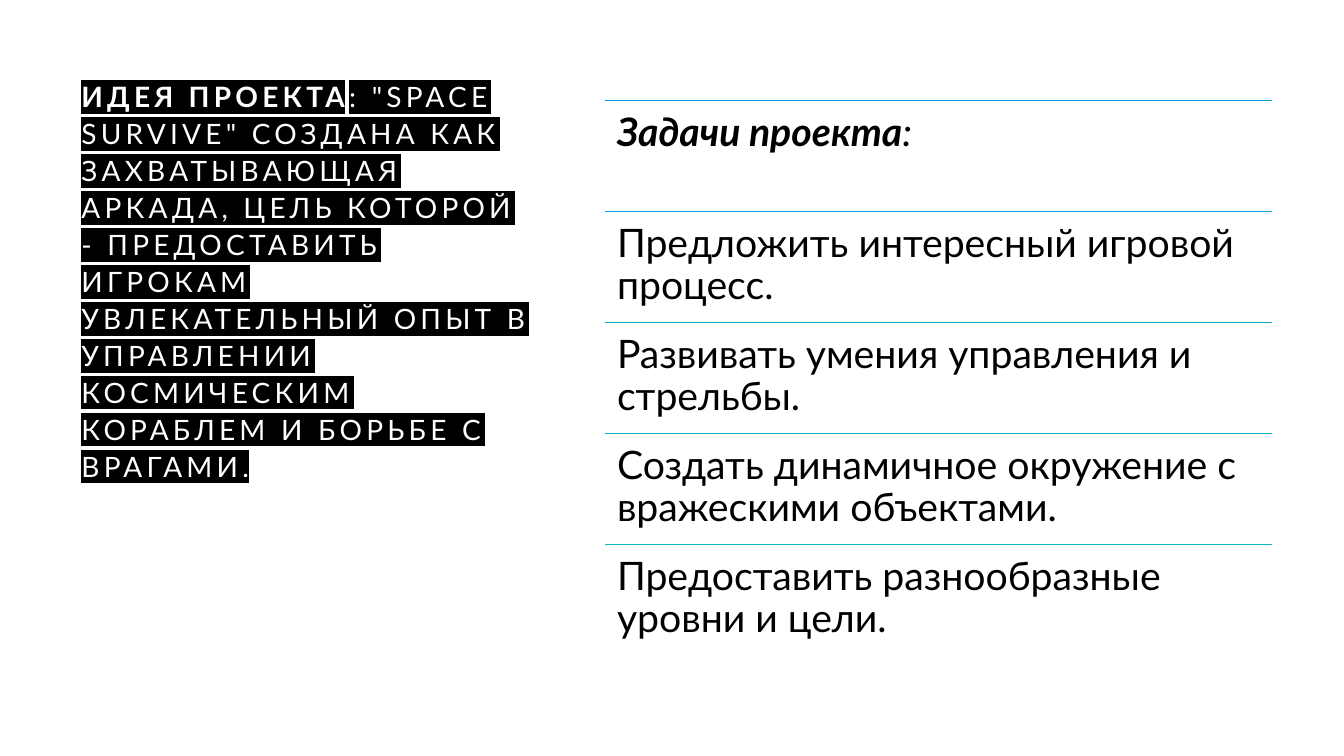
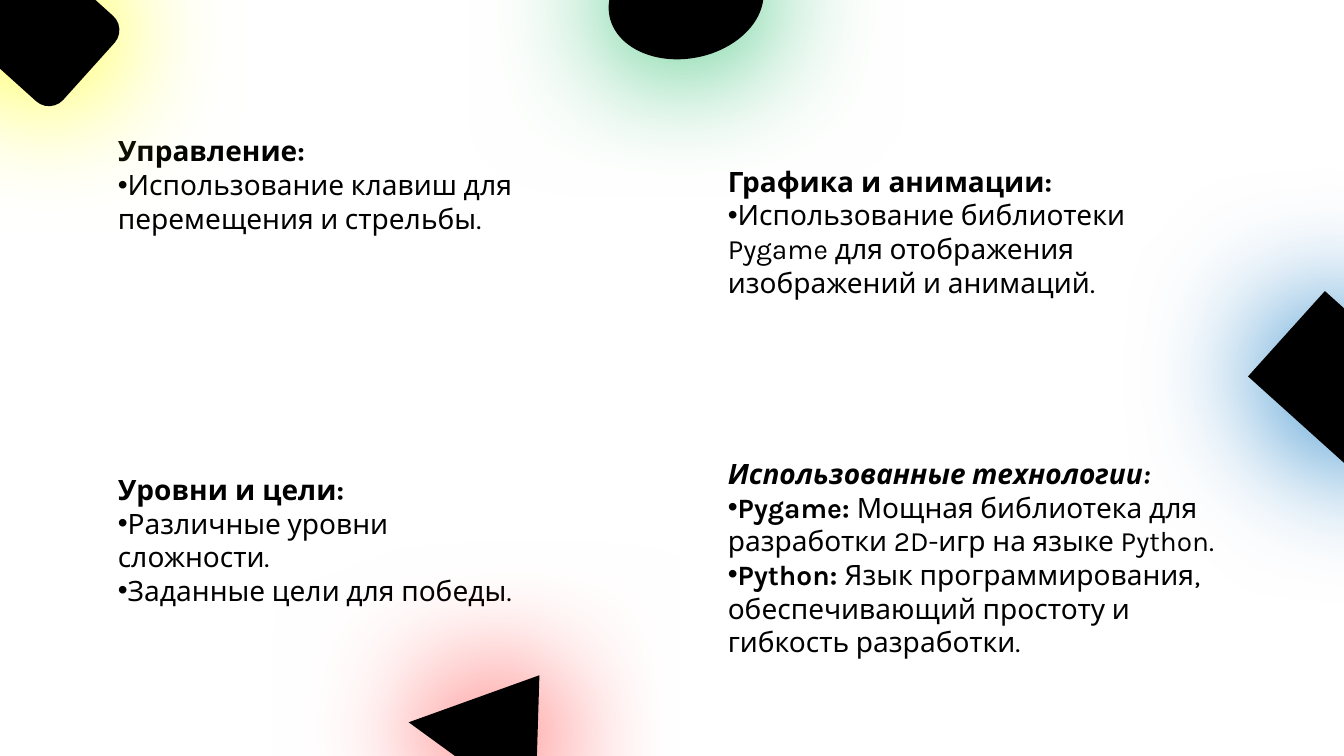
from dataclasses import dataclass

from lxml import etree
from pptx import Presentation
from pptx.dml.color import RGBColor
from pptx.enum import shapes, text
from pptx.oxml.ns import qn
from pptx.util import Inches, Pt


@dataclass(frozen=True)
class Theme:
    ink: str = "000000"
    paper: str = "FFFFFF"
    rules: tuple = ("009DD9", "02A5D3", "05ACCC", "07B3C6", "09B8C0")
    yellow: str = "FFFF00"
    green: str = "00B050"
    blue: str = "0070C0"
    red: str = "FF0000"
    body_size: int = 20
    task_size: int = 28
    project_font: str = "Lato"
    feature_font: str = "Karla"
    glow_blur: int = 100


THEME = Theme()
BOLD = {"bold": True}
BOLD_ITALIC = {"bold": True, "italic": True}


def add_xml(parent, tag, **attributes):
    return etree.SubElement(parent, qn(tag), attributes)


def add_text(slide, box, paragraphs, font, size, color=THEME.ink,
             inset=None, spacing=None, bulleted=False):
    """Write paragraphs of (wording, format) runs; bullets skip the heading."""
    textbox = slide.shapes.add_textbox(*map(Inches, box))
    frame = textbox.text_frame
    frame.word_wrap = True
    if bulleted:
        frame.auto_size = text.MSO_AUTO_SIZE.SHAPE_TO_FIT_TEXT
    if inset is not None:
        for side in ("left", "top", "right", "bottom"):
            setattr(frame, f"margin_{side}", Inches(inset))
    for index, runs in enumerate(paragraphs):
        paragraph = frame.add_paragraph() if index else frame.paragraphs[0]
        if spacing:
            paragraph.line_spacing = spacing
        if bulleted and index:
            properties = paragraph._p.get_or_add_pPr()
            add_xml(properties, "a:buFont", typeface="Arial")
            add_xml(properties, "a:buChar", char="•")
        for wording, run_format in runs:
            run = paragraph.add_run()
            run.text = wording
            run.font.color.rgb = RGBColor.from_string(color)
            settings = {"name": font, "size": Pt(size), **run_format}
            for name, value in settings.items():
                setattr(run.font, name, value)
    return textbox


deck = Presentation()
deck.slide_width, deck.slide_height = Inches(13.33), Inches(7.5)
blank = deck.slide_layouts[6]

# Project idea and tasks
project = deck.slides.add_slide(blank)
idea = add_text(
    project, (0.71, 0.71, 4.7, 3.04),
    [[("ИДЕЯ ПРОЕКТА", BOLD),
      (': "SPACE SURVIVE" СОЗДАНА КАК ЗАХВАТЫВАЮЩАЯ АРКАДА, ЦЕЛЬ КОТОРОЙ '
       "- ПРЕДОСТАВИТЬ ИГРОКАМ УВЛЕКАТЕЛЬНЫЙ ОПЫТ В УПРАВЛЕНИИ КОСМИЧЕСКИМ "
       "КОРАБЛЕМ И БОРЬБЕ С ВРАГАМИ.", {})]],
    THEME.project_font, THEME.body_size, THEME.paper, spacing=1.1)
for run in idea.text_frame.paragraphs[0].runs:
    properties = run.font._element
    properties.set("spc", "300")
    highlight = add_xml(properties, "a:highlight")
    add_xml(highlight, "a:srgbClr", val=THEME.ink)
    properties.find(qn("a:solidFill")).addnext(highlight)

tasks = [
    [("Задачи проекта", BOLD_ITALIC), (":", {"italic": True})],
    [("Предложить интересный игровой процесс.", {})],
    [("Развивать умения управления и стрельбы.", {})],
    [("Создать динамичное окружение с вражескими объектами.", {})],
    [("Предоставить разнообразные уровни и цели.", {})],
]
tasks_left, tasks_top, tasks_width, task_height = 6, 1, 6.62, 1.1
for row, (task, rule_color) in enumerate(zip(tasks, THEME.rules)):
    top = tasks_top + row * task_height
    rule = project.shapes.add_connector(
        shapes.MSO_CONNECTOR.STRAIGHT, Inches(tasks_left), Inches(top),
        Inches(tasks_left + tasks_width), Inches(top))
    rule.line.color.rgb = RGBColor.from_string(rule_color)
    rule.line.width = Pt(1)
    add_xml(rule._element.spPr, "a:effectLst")
    add_text(project, (tasks_left, top, tasks_width, task_height), [task],
             THEME.project_font, THEME.task_size, inset=0.12, spacing=0.9)

# Game features and technologies
features = deck.slides.add_slide(blank)
feature_blocks = [
    ((1.07, 4.64, 4.15, 1.45), [
        [("Уровни и цели:", BOLD)],
        [("Различные уровни сложности.", {})],
        [("Заданные цели для победы.", {})]]),
    ((1.07, 1.28, 4.22, 1.11), [
        [("Управление:", BOLD)],
        [("Использование клавиш для перемещения и стрельбы.", {})]]),
    ((7.12, 1.58, 5.05, 1.45), [
        [("Графика и анимации:", BOLD)],
        [("Использование библиотеки Pygame для отображения изображений "
          "и анимаций.", {})]]),
    ((7.12, 4.48, 5.37, 2.12), [
        [("Использованные технологии:", BOLD_ITALIC)],
        [("Pygame: ", BOLD),
         ("Мощная библиотека для разработки 2D-игр на языке Python.", {})],
        [("Python: ", BOLD),
         ("Язык программирования, обеспечивающий простоту и гибкость "
          "разработки.", {})]]),
]
for box, paragraphs in feature_blocks:
    add_text(features, box, paragraphs, THEME.feature_font, THEME.body_size,
             bulleted=True)

preset = shapes.MSO_SHAPE
glowing_figures = [
    (preset.ROUNDED_RECTANGLE, -0.47, -0.38, 42, THEME.yellow),
    (preset.OVAL, 6.03, -0.56, 169, THEME.green),
    (preset.RECTANGLE, 12.56, 3.26, 42, THEME.blue),
    (preset.ISOSCELES_TRIANGLE, 4.24, 6.59, 36, THEME.red),
]
for kind, left, top, rotation, glow_color in glowing_figures:
    figure = features.shapes.add_shape(
        kind, Inches(left), Inches(top), Inches(1.55), Inches(1.14))
    figure.rotation = rotation
    figure.fill.solid()
    figure.fill.fore_color.rgb = RGBColor.from_string(THEME.ink)
    figure.line.fill.background()
    figure.shadow.inherit = False
    effects = figure._element.spPr.find(qn("a:effectLst"))
    glow = add_xml(effects, "a:outerShdw", blurRad=str(Pt(THEME.glow_blur)),
                   dist="0", dir="0", algn="ctr", rotWithShape="0")
    add_xml(glow, "a:srgbClr", val=glow_color)

deck.save("out.pptx")
